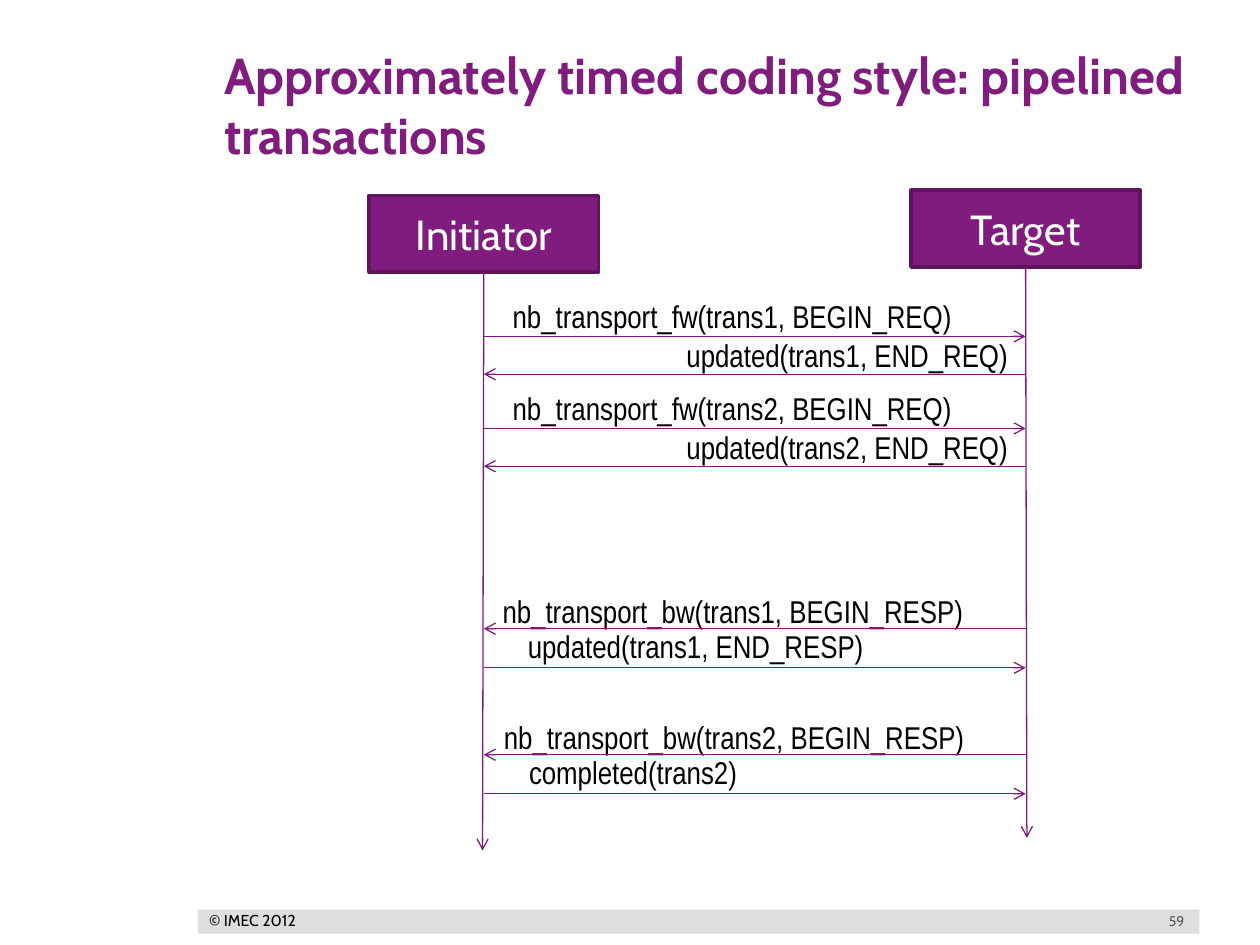
"""Build a sequence diagram slide of pipelined approximately timed transactions."""
from lxml.etree import SubElement
from pptx import Presentation
from pptx.dml.color import RGBColor
from pptx.enum.shapes import MSO_CONNECTOR, MSO_SHAPE
from pptx.enum.text import MSO_ANCHOR, MSO_AUTO_SIZE, PP_ALIGN
from pptx.oxml.ns import qn
from pptx.util import Inches, Pt

THEME = {
    "purple": RGBColor.from_string("7F1C7D"),
    "arrow": RGBColor.from_string("7F197D"),
    "border": RGBColor.from_string("5E155C"),
    "bar": RGBColor.from_string("DDDEDD"),
    "gray": RGBColor.from_string("58595B"),
    "black": RGBColor.from_string("000000"),
    "white": RGBColor.from_string("FFFFFF"),
    "heading_font": "Cabin",
    "message_font": "Arial Narrow",
    "title_size": Pt(28.8),
    "box_size": Pt(24),
    "message_size": Pt(18),
    "copyright_size": Pt(9),
    "number_size": Pt(8),
}


def write(shape, text, font, size, color, align=PP_ALIGN.LEFT, bold=False, **frame_format):
    frame = shape.text_frame
    frame_format = {"word_wrap": True, "auto_size": MSO_AUTO_SIZE.NONE} | frame_format
    for name, value in frame_format.items():
        setattr(frame, name, value)
    para = frame.paragraphs[0]
    para.alignment = align
    span = para.add_run()
    span.text = text
    for name, value in {"name": THEME[font], "size": THEME[size], "bold": bold}.items():
        setattr(span.font, name, value)
    span.font.color.rgb = THEME[color]


def add_arrow(start, end, head):
    points = [Inches(value) for value in (*start, *end)]
    arrow = slide.shapes.add_connector(MSO_CONNECTOR.STRAIGHT, *points)
    arrow.line.color.rgb = THEME["arrow"]
    arrow.line.width = Pt(0.75)
    SubElement(arrow.line._get_or_add_ln(), qn(f"a:{head}"), type="arrow")
    SubElement(arrow._element.spPr, qn("a:effectLst"))
    return arrow


deck = Presentation()
deck.slide_width, deck.slide_height = Inches(10), Inches(7.5)
slide = deck.slides.add_slide(deck.slide_layouts[5])

bar = slide.shapes.add_shape(MSO_SHAPE.RECTANGLE, Inches(1.57), Inches(7.22), Inches(7.95), Inches(0.19))
bar.shadow.inherit = False
bar.fill.solid()
bar.fill.fore_color.rgb = THEME["bar"]
bar.line.fill.background()

number = slide.shapes.add_textbox(Inches(8.96), Inches(7.21), Inches(0.54), Inches(0.19))
write(number, "59", "heading_font", "number_size", "gray", PP_ALIGN.RIGHT,
      vertical_anchor=MSO_ANCHOR.MIDDLE)

notice = slide.shapes.add_textbox(Inches(1.66), Inches(7.23), Inches(0.7), Inches(0.15))
write(notice, "© IMEC 2012", "heading_font", "copyright_size", "black",
      vertical_anchor=MSO_ANCHOR.MIDDLE, word_wrap=False, auto_size=MSO_AUTO_SIZE.SHAPE_TO_FIT_TEXT,
      margin_left=0, margin_top=0, margin_right=0, margin_bottom=0)

title = slide.shapes.title
title_place = {"left": 1.58, "top": 0.3, "width": 7.92, "height": 1.06}
for name, value in title_place.items():
    setattr(title, name, Inches(value))
write(title, "Approximately timed coding style: pipelined transactions",
      "heading_font", "title_size", "purple", bold=True,
      vertical_anchor=MSO_ANCHOR.TOP, margin_left=Inches(0.2))

participants = [
    ("Initiator", 2.93, 1.55, (3.83, 6.75)),
    ("Target", 7.23, 1.51, (8.15, 6.65)),
]
for name, left, top, lifeline_end in participants:
    box = slide.shapes.add_shape(MSO_SHAPE.RECTANGLE, Inches(left), Inches(top), Inches(1.82), Inches(0.61))
    box.shadow.inherit = False
    box.fill.solid()
    box.fill.fore_color.rgb = THEME["purple"]
    box.line.color.rgb = THEME["border"]
    box.line.width = Pt(2)
    write(box, name, "heading_font", "box_size", "white", PP_ALIGN.CENTER,
          vertical_anchor=MSO_ANCHOR.MIDDLE)
    lifeline = add_arrow((left + 0.91, top + 0.61), lifeline_end, "tailEnd")
    lifeline.begin_connect(box, 2)

messages = [
    ("nb_transport_fw(trans1, BEGIN_REQ)", 3.97, 2.31, 4.38, 2.67, "tailEnd"),
    ("updated(trans1, END_REQ)", 5.35, 2.62, 2.96, 2.97, "headEnd"),
    ("nb_transport_fw(trans2, BEGIN_REQ)", 3.97, 3.04, 4.38, 3.4, "tailEnd"),
    ("updated(trans2, END_REQ)", 5.35, 3.35, 2.96, 3.7, "headEnd"),
    ("nb_transport_bw(trans1, BEGIN_RESP)", 3.89, 4.65, 4.23, 4.99, "headEnd"),
    ("updated(trans1, END_RESP)", 4.09, 4.93, 4.02, 5.3, "tailEnd"),
    ("nb_transport_bw(trans2, BEGIN_RESP)", 3.9, 5.65, 4.23, 5.99, "headEnd"),
    ("completed(trans2)", 4.1, 5.93, 4.02, 6.3, "tailEnd"),
]
for text, left, top, width, arrow_top, head in messages:
    label = slide.shapes.add_textbox(Inches(left), Inches(top), Inches(width), Inches(0.4))
    write(label, text, "message_font", "message_size", "black",
          auto_size=MSO_AUTO_SIZE.SHAPE_TO_FIT_TEXT)
    add_arrow((3.84, arrow_top), (8.14, arrow_top), head)

deck.save("out.pptx")
